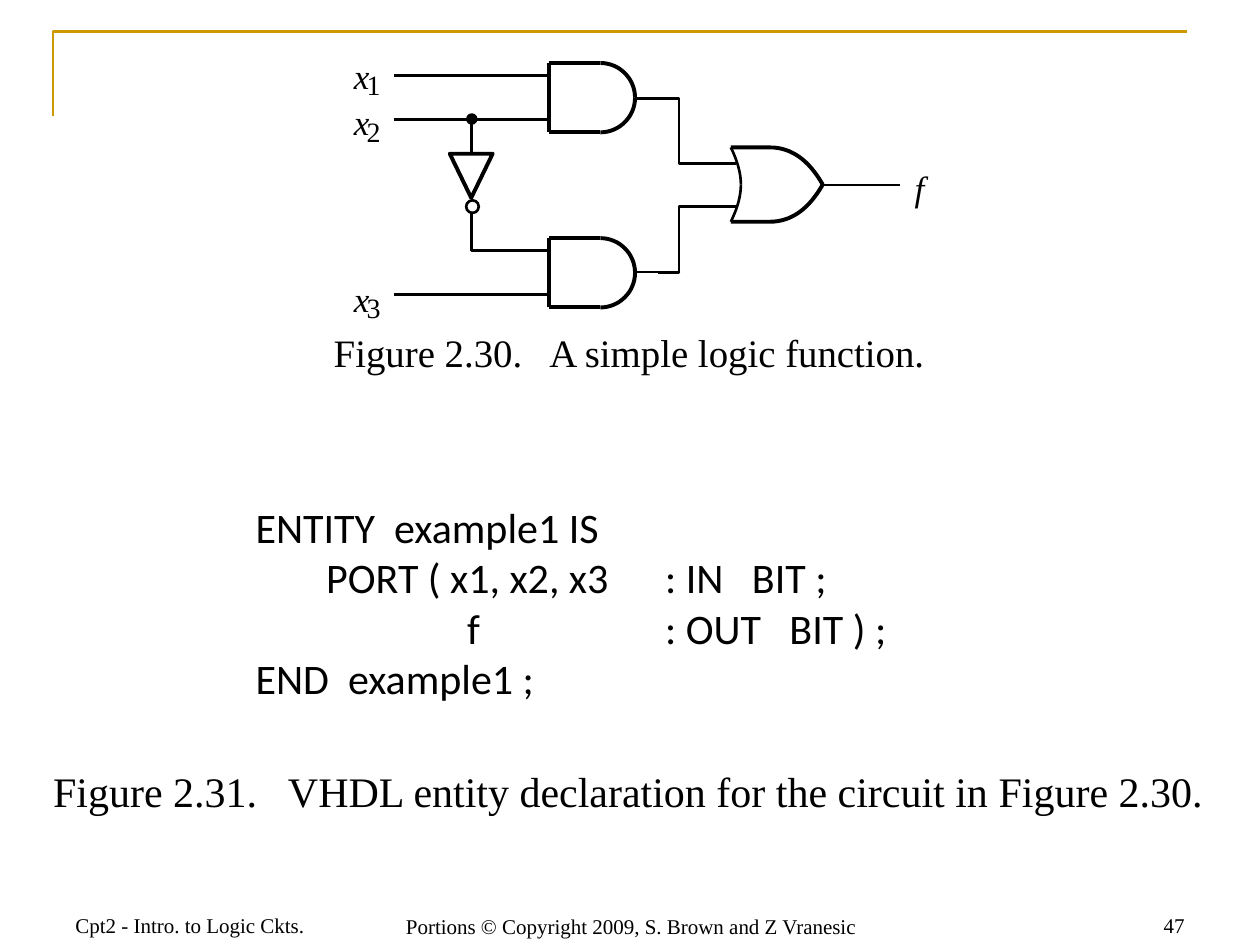
import dataclasses

import pptx
import pptx.dml.color
import pptx.enum.shapes
import pptx.enum.text
import pptx.oxml
import pptx.oxml.ns
import pptx.util
from pptx.util import Inches

ALIGN = pptx.enum.text.PP_ALIGN
ANCHOR = pptx.enum.text.MSO_ANCHOR
SHAPE = pptx.enum.shapes.MSO_SHAPE


@dataclasses.dataclass(frozen=True)
class Theme:
    """Colours, fonts, type sizes and line widths of the slide."""
    ink: str = "000000"
    paper: str = "FFFFFF"
    accent: str = "CC9900"
    serif: str = "Times New Roman"
    sans: str = "Calibri"
    footer: float = 12
    subscript: float = 16
    label: float = 20
    caption: float = 22.2
    body: float = 24
    thin: float = 1.5
    thick: float = 2.25


THEME = Theme()


def colour(value):
    """Return an RGB colour for a hex string."""
    return pptx.dml.color.RGBColor.from_string(value)


def style_line(shape, width, line_colour=THEME.ink):
    """Set the outline colour and width."""
    shape.line.color.rgb = colour(line_colour)
    shape.line.width = pptx.util.Pt(width)


def style_shape(shape, width, fill=None, line_colour=THEME.ink):
    """Set the outline and fill and drop the shadow."""
    style_line(shape, width, line_colour)
    shape.shadow.inherit = False
    if fill:
        shape.fill.solid()
        shape.fill.fore_color.rgb = colour(fill)
    else:
        shape.fill.background()


def add_run(paragraph, text, size, font=THEME.serif, italic=False):
    """Append one formatted run."""
    run = paragraph.add_run()
    run.text = text
    run.font.name = font
    run.font.size = pptx.util.Pt(size)
    run.font.italic = italic
    run.font.bold = False
    run.font.color.rgb = colour(THEME.ink)


def add_text(slide, box, text, size, align=ALIGN.LEFT, anchor=ANCHOR.TOP):
    """Add a wrapping text box with one line of text."""
    frame = slide.shapes.add_textbox(*map(Inches, box)).text_frame
    frame.word_wrap = True
    frame.vertical_anchor = anchor
    frame.paragraphs[0].alignment = align
    add_run(frame.paragraphs[0], text, size)


def add_label(slide, box, text, size, italic=False):
    """Add a tight label that does not wrap."""
    frame = slide.shapes.add_textbox(*map(Inches, box)).text_frame
    frame.word_wrap = False
    frame.margin_left = frame.margin_right = 0
    frame.margin_top = frame.margin_bottom = 0
    add_run(frame.paragraphs[0], text, size, italic=italic)


def add_outline(slide, points, width, line_colour=THEME.ink):
    """Draw an open freeform through points in inches."""
    start, *rest = [(Inches(x), Inches(y)) for x, y in points]
    builder = slide.shapes.build_freeform(*start)
    builder.add_line_segments(rest, close=False)
    style_shape(builder.convert_to_shape(), width, line_colour=line_colour)


def add_wire(slide, points, width=THEME.thin):
    """Draw a straight connector or a bent wire."""
    if len(points) > 2:
        add_outline(slide, points, width)
        return
    ends = [Inches(value) for point in points for value in point]
    wire = slide.shapes.add_connector(pptx.enum.shapes.MSO_CONNECTOR.STRAIGHT, *ends)
    style_line(wire, width)
    properties = wire.element.find(pptx.oxml.ns.qn("p:spPr"))
    properties.append(pptx.oxml.parse_xml(f"<a:effectLst {pptx.oxml.ns.nsdecls('a')}/>"))


def bezier(p0, p1, p2, p3, steps=16):
    """Sample a cubic curve."""
    weights = [((1 - t) ** 3, 3 * t * (1 - t) ** 2, 3 * t * t * (1 - t), t ** 3)
               for t in (step / steps for step in range(steps + 1))]
    return [tuple(sum(w * p[axis] for w, p in zip(row, (p0, p1, p2, p3))) for axis in (0, 1))
            for row in weights]


def add_mirrored(slide, points, middle, width):
    """Draw a curve and its reflection across a horizontal line."""
    add_outline(slide, points, width)
    add_outline(slide, [(x, 2 * middle - y) for x, y in points], width)


def add_and_gate(slide, box):
    """Draw a D-shaped gate that fills the box."""
    left, top, width, height = box
    right, middle, bottom = left + width, top + height / 2, top + height
    flat, pull = right - height / 2, height / 2 * 0.55
    for points in ([(flat, top), (left, top)], [(left, top), (left, bottom)],
                   [(left, bottom), (flat, bottom)]):
        add_wire(slide, points, THEME.thick)
    arc = bezier((flat, top), (flat + pull, top), (right, middle - pull), (right, middle))
    add_mirrored(slide, arc, middle, THEME.thick)


def add_or_gate(slide, box):
    """Draw a pointed gate with a curved back that fills the box."""
    left, top, width, height = box
    right, middle = left + width, top + height / 2
    nose = bezier((left + 0.31, top), (left + 0.48, top), (left + 0.62, top + 0.1), (right, middle))
    add_mirrored(slide, [(left, top), *nose], middle, THEME.thick)
    back = bezier((left, top), (left + 0.05, top + 0.1), (left + 0.08, top + 0.2), (left + 0.08, middle))
    add_mirrored(slide, back, middle, THEME.thin)


def add_circuit(slide, box):
    """Draw the logic circuit from the top left of its box."""
    left, top, _, _ = box

    def at(x, y, *size):
        return (left + x, top + y, *size)

    wires = [
        [(0.33, 0.2), (1.19, 0.2)],
        [(1.56, 0.2), (1.19, 0.2)],
        [(0.33, 0.55), (0.94, 0.55)],
        [(0.94, 0.62), (0.94, 0.55), (1.19, 0.55)],
        [(1.56, 0.55), (1.19, 0.55)],
        [(0.94, 0.62), (0.94, 0.9)],
        [(0.94, 1.52), (0.94, 1.29)],
        [(0.94, 1.52), (0.94, 1.59), (1.19, 1.59)],
        [(1.56, 1.59), (1.19, 1.59)],
        [(0.33, 1.94), (1.56, 1.94)],
        [(2.24, 0.38), (2.42, 0.38)],
        [(2.69, 0.9), (2.59, 0.9), (2.59, 0.38), (2.42, 0.38)],
        [(2.69, 0.9), (3.04, 0.9)],
        [(2.6, 1.76), (2.24, 1.76)],
        [(2.69, 1.24), (2.59, 1.24), (2.59, 1.76), (2.42, 1.76)],
        [(2.69, 1.24), (3.04, 1.24)],
        [(3.9, 1.07), (3.72, 1.07)],
        [(4.34, 1.07), (3.9, 1.07)],
    ]
    for points in wires:
        add_wire(slide, [at(*point) for point in points])
    for gate_top in (0.1, 1.49):
        add_and_gate(slide, at(1.56, gate_top, 0.68, 0.55))
    add_or_gate(slide, at(3, 0.77, 0.73, 0.59))
    parts = [
        (SHAPE.OVAL, (0.91, 0.51, 0.07, 0.07), THEME.thin, THEME.ink),
        (SHAPE.FLOWCHART_MERGE, (0.77, 0.82, 0.34, 0.35), THEME.thick, THEME.paper),
        (SHAPE.OVAL, (0.9, 1.19, 0.1, 0.1), THEME.thin, None),
    ]
    for kind, part, width, fill in parts:
        style_shape(slide.shapes.add_shape(kind, *map(Inches, at(*part))), width, fill)
    for number, y in (("1", 0.03), ("2", 0.4), ("3", 1.8)):
        add_label(slide, at(0.01, y, 0.14, 0.33), "x", THEME.label, italic=True)
        add_label(slide, at(0.11, y + 0.11, 0.13, 0.27), number, THEME.subscript)
    add_label(slide, at(4.46, 0.92, 0.09, 0.33), "f", THEME.label, italic=True)


def add_title(slide, box, text):
    """Move and format the title placeholder as the circuit caption."""
    title = slide.shapes.title
    title.left, title.top, title.width, title.height = map(Inches, box)
    title.text_frame.vertical_anchor = ANCHOR.TOP
    paragraph = title.text_frame.paragraphs[0]
    paragraph.alignment = ALIGN.CENTER
    paragraph.line_spacing = 0.9
    add_run(paragraph, text, THEME.caption)


def add_code(slide, box, lines, tab_stops):
    """Add the entity declaration aligned on tab stops."""
    frame = slide.shapes.add_textbox(*map(Inches, box)).text_frame
    frame.word_wrap = True
    frame.margin_top = Inches(0.45)
    stops = "".join(f'<a:tab pos="{Inches(stop)}" algn="l"/>' for stop in tab_stops)
    for index, line in enumerate(lines):
        paragraph = frame.add_paragraph() if index else frame.paragraphs[0]
        paragraph._p.get_or_add_pPr().append(pptx.oxml.parse_xml(
            f"<a:tabLst {pptx.oxml.ns.nsdecls('a')}>{stops}</a:tabLst>"))
        add_run(paragraph, line, THEME.body, THEME.sans)


def add_footer(slide, box):
    """Add the chapter, copyright and page number along the bottom."""
    left, top, width, height = box
    side = 2.33
    parts = [
        (left, top, side, "Cpt2 - Intro. to Logic Ckts.", ALIGN.LEFT),
        (left + side, top + 0.01, 4.36, "Portions © Copyright 2009, S. Brown and Z Vranesic", ALIGN.CENTER),
        (left + width - side, top, side, "47", ALIGN.RIGHT),
    ]
    for x, y, part_width, text, align in parts:
        add_text(slide, (x, y, part_width, height), text, THEME.footer, align, ANCHOR.BOTTOM)


def add_frame(slide, box):
    """Draw the corner rule along the left and top of its box."""
    left, top, width, height = box
    add_outline(slide, [(left, top + height), (left, top), (left + width, top)],
                THEME.thin, line_colour=THEME.accent)


def main():
    """Build and save the slide."""
    presentation = pptx.Presentation()
    presentation.slide_width, presentation.slide_height = Inches(10), Inches(7.5)
    slide = presentation.slides.add_slide(presentation.slide_layouts[5])
    add_frame(slide, (0.42, 0.25, 9, 0.67))
    add_footer(slide, (0.5, 6.99, 9, 0.5))
    add_title(slide, (1.3, 2.6, 7.39, 0.5), "Figure 2.30.   A simple logic function.")
    add_circuit(slide, (2.8, 0.4, 4.6, 2.2))
    add_code(slide, (1.93, 3.53, 6.29, 2.5), [
        "ENTITY  example1 IS",
        "\tPORT ( x1, x2, x3\t: IN   BIT ;",
        "\t\tf\t: OUT   BIT ) ;",
        "END  example1 ;",
    ], (0.56, 1.68, 3.25))
    add_text(slide, (-0.03, 6.03, 10.03, 0.83),
             "Figure 2.31.   VHDL entity declaration for the circuit in Figure 2.30.",
             THEME.body, ALIGN.CENTER)
    presentation.save("out.pptx")


if __name__ == "__main__":
    main()
